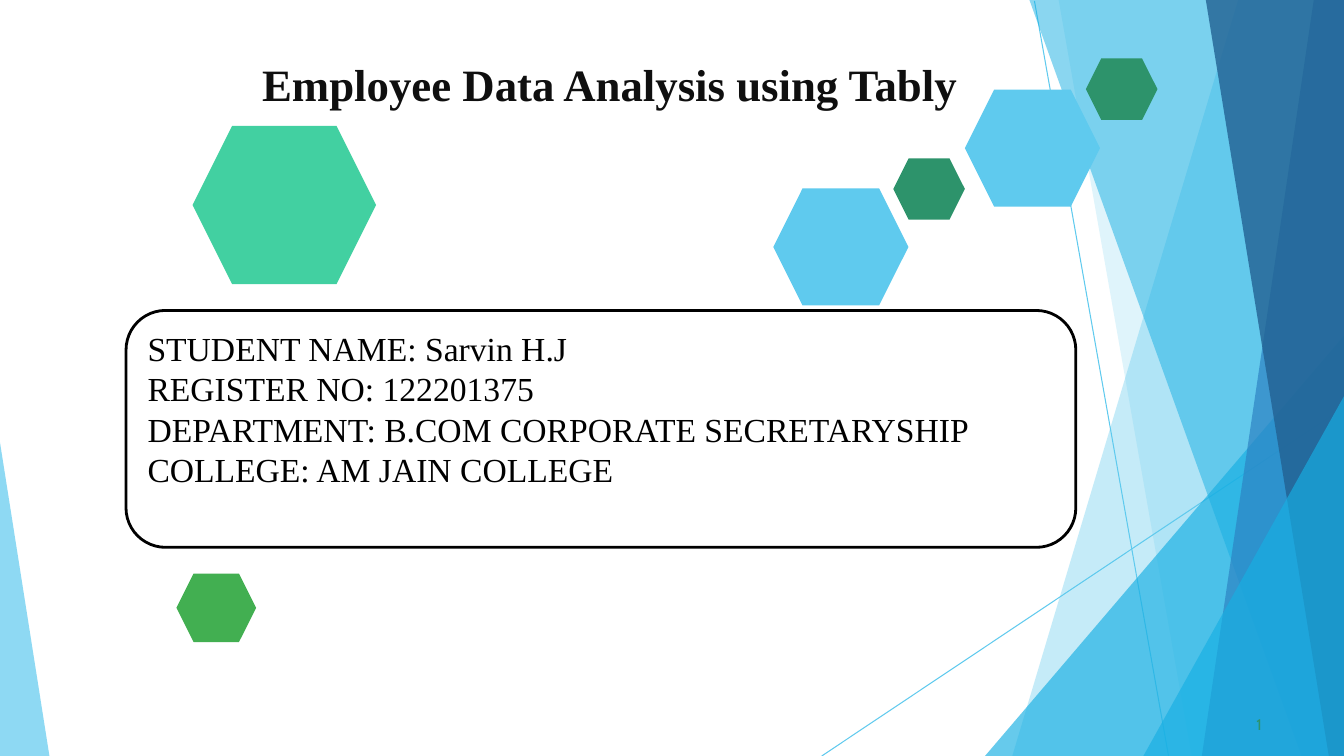
from lxml.etree import SubElement
from pptx import Presentation
from pptx.dml.color import RGBColor
from pptx.enum.shapes import MSO_CONNECTOR, MSO_SHAPE
from pptx.enum.text import MSO_ANCHOR, MSO_AUTO_SIZE, PP_ALIGN
from pptx.oxml.ns import qn
from pptx.util import Pt

PX = 9144
WIDTH, HEIGHT = 1333, 750
SKY, CYAN, GREEN = "5FCAEE", "17AFE3", "2D936B"


def paint(fill, colour):
    fill.solid()
    fill.fore_color.rgb = RGBColor.from_string(colour)


def write(para, text, size, colour, font="Times New Roman", bold=False, before=0):
    para.alignment = PP_ALIGN.LEFT
    para.space_before = Pt(before)
    span = para.add_run()
    span.text = text
    span.font.size = Pt(size)
    span.font.name = font
    span.font.bold = bold
    paint(span.font.fill, colour)


deck = Presentation()
deck.slide_width, deck.slide_height = WIDTH * PX, HEIGHT * PX
page = deck.slides.add_slide(deck.slide_layouts[5])

for ends in [(1026, 1, 1159, 750), (1333, 404, 815, 750)]:
    line = page.shapes.add_connector(MSO_CONNECTOR.STRAIGHT, *[end * PX for end in ends])
    paint(line.line.fill, SKY)
    line.line.width = Pt(0.75)
    SubElement(line.element.spPr, qn("a:effectLst"))

right_top, right_bottom = (WIDTH, 0), (WIDTH, HEIGHT)
facets = [
    ([right_top, (1228, 0), (1004, 750), right_bottom], SKY, 36),
    ([right_top, (1050, 0), (1182, 750), right_bottom], SKY, 20),
    ([(WIDTH, 333), (977, 750), right_bottom], CYAN, 66),
    ([right_top, (1021, 0), (1291, 750), right_bottom], CYAN, 50),
    ([right_top, (1303, 0), (1192, 750), right_bottom], "2D83C3", 70),
    ([right_top, (1196, 0), (1318, 750), right_bottom], "226192", 80),
    ([(WIDTH, 393), (1134, 750), right_bottom], CYAN, 66),
    ([(0, 439), (0, 750), (49, 750)], SKY, 70),
]
for points, colour, opacity in facets:
    builder = page.shapes.build_freeform(*points[0], scale=PX)
    builder.add_line_segments(points[1:], close=True)
    facet = builder.convert_to_shape()
    facet.shadow.inherit = False
    facet.line.fill.background()
    paint(facet.fill, colour)
    tint = facet.element.xpath("./p:spPr/a:solidFill/a:srgbClr")[0]
    SubElement(tint, qn("a:alpha"), val=str(opacity * 1000))

title = page.shapes.title
title.left, title.top, title.width, title.height = [n * PX for n in (-91, 54, 1092, 110)]
frame = title.text_frame
frame.auto_size = MSO_AUTO_SIZE.NONE
frame.vertical_anchor = MSO_ANCHOR.TOP
frame.margin_left = frame.margin_right = frame.margin_bottom = 0
frame.margin_top = 2 * PX
para = frame.paragraphs[0]
write(para, "Employee Data Analysis using Tably", 32, "0F0F0F", bold=True, before=1.3)
properties = para.runs[0].font.fill and para._p.get_or_add_pPr()
properties.set("marL", str(351 * PX))
properties.set("indent", "0")

number = page.shapes.add_textbox(*[n * PX for n in (1242, 708, 17, 21)])
frame = number.text_frame
frame.word_wrap = True
frame.margin_right = frame.margin_bottom = 0
frame.margin_left, frame.margin_top = 4 * PX, 1 * PX
write(frame.paragraphs[0], "1", 11, GREEN, font="Cabin", before=0.6)

card = page.shapes.add_shape(MSO_SHAPE.ROUNDED_RECTANGLE, *[n * PX for n in (125, 308, 942, 235)])
card.shadow.inherit = False
paint(card.fill, "FFFFFF")
paint(card.line.fill, "000000")
card.line.width = Pt(2)
frame = card.text_frame
frame.word_wrap = True
frame.vertical_anchor = MSO_ANCHOR.TOP
frame.margin_top = 6 * PX
details = [
    "STUDENT NAME: Sarvin H.J",
    "REGISTER NO: 122201375",
    "DEPARTMENT: B.COM CORPORATE SECRETARYSHIP",
    "COLLEGE: AM JAIN COLLEGE",
]
for index, detail in enumerate(details):
    para = frame.add_paragraph() if index else frame.paragraphs[0]
    para.line_spacing = Pt(28.8)
    write(para, detail, 24, "000000")

hexagons = [
    (767, 187, 134, 116, SKY),
    (886, 157, 71, 61, GREEN),
    (191, 125, 182, 157, "42D0A1"),
    (175, 569, 79, 68, "42AF51"),
    (957, 89, 134, 116, SKY),
    (1077, 58, 71, 61, GREEN),
]
for *place, colour in hexagons:
    hexagon = page.shapes.add_shape(MSO_SHAPE.HEXAGON, *[n * PX for n in place])
    hexagon.shadow.inherit = False
    hexagon.line.fill.background()
    paint(hexagon.fill, colour)

deck.save("out.pptx")
